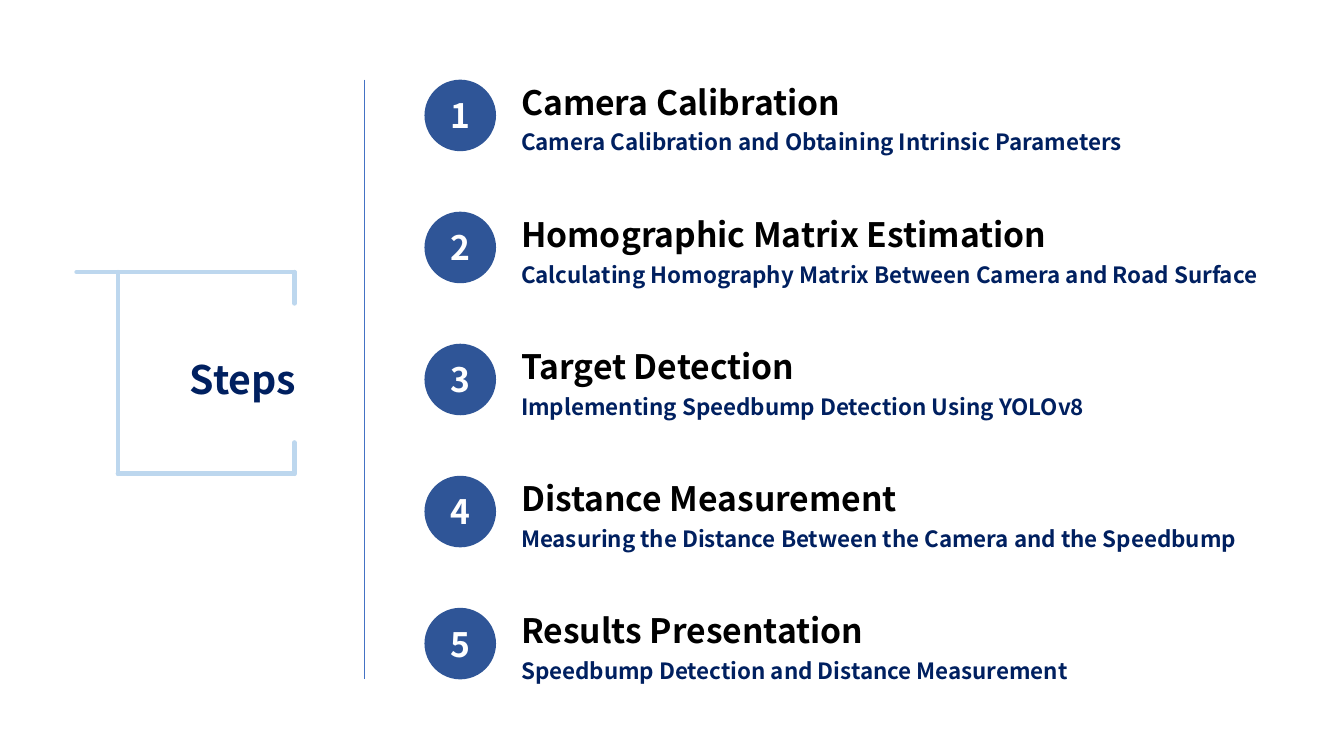
from dataclasses import dataclass

from lxml import etree
from pptx import Presentation
from pptx.dml.color import RGBColor
from pptx.enum.shapes import MSO_CONNECTOR, MSO_SHAPE
from pptx.enum.text import MSO_ANCHOR, MSO_AUTO_SIZE, PP_ALIGN
from pptx.oxml.ns import qn
from pptx.util import Inches, Pt

STRAIGHT = MSO_CONNECTOR.STRAIGHT
OVAL = MSO_SHAPE.OVAL
TOP, MIDDLE = MSO_ANCHOR.TOP, MSO_ANCHOR.MIDDLE
LEFT, CENTER = PP_ALIGN.LEFT, PP_ALIGN.CENTER
NO_FIT = MSO_AUTO_SIZE.NONE
TITLE_ONLY = 5


@dataclass(frozen=True)
class Theme:
    font: str = "Noto Sans CJK SC"
    navy: RGBColor = RGBColor(0x00, 0x20, 0x60)
    badge: RGBColor = RGBColor(0x2F, 0x55, 0x97)
    divider: RGBColor = RGBColor(0x44, 0x72, 0xC4)
    frame: RGBColor = RGBColor(0xBD, 0xD7, 0xEE)
    black: RGBColor = RGBColor(0x00, 0x00, 0x00)
    white: RGBColor = RGBColor(0xFF, 0xFF, 0xFF)
    title_size: int = 28
    heading_size: int = 24
    detail_size: int = 16
    divider_width: float = 0.5
    frame_width: float = 3.25
    line_spacing: float = 1.25


THEME = Theme()

STEPS = [
    ("Camera Calibration", "Camera Calibration and Obtaining Intrinsic Parameters", 6.6),
    ("Homographic Matrix Estimation",
     "Calculating Homography Matrix Between Camera and Road Surface", 8.17),
    ("Target Detection", "Implementing Speedbump Detection Using YOLOv8", 6.43),
    ("Distance Measurement",
     "Measuring the Distance Between the Camera and the Speedbump", 8.03),
    ("Results Presentation", "Speedbump Detection and Distance Measurement", 7.08),
]
STEP_TOP, STEP_PITCH = 0.79, 1.31
BADGE_LEFT, BADGE_SIZE = 4.21, 0.71
TEXT_LEFT, TEXT_RISE, TEXT_HEIGHT = 5.07, 0.13, 0.91

DIVIDER_X, DIVIDER_BOTTOM = 3.61, 6.74
FRAME_START, FRAME_LEFT, FRAME_RIGHT = 0.76, 1.17, 2.92
FRAME_TOP, FRAME_BOTTOM, FRAME_TICK = 2.7, 4.7, 0.31
FRAME_LINES = [
    (FRAME_START, FRAME_TOP, FRAME_RIGHT, FRAME_TOP),
    (FRAME_LEFT, FRAME_BOTTOM, FRAME_RIGHT, FRAME_BOTTOM),
    (FRAME_LEFT, FRAME_TOP, FRAME_LEFT, FRAME_BOTTOM),
    (FRAME_RIGHT, FRAME_TOP, FRAME_RIGHT, FRAME_TOP + FRAME_TICK),
    (FRAME_RIGHT, FRAME_BOTTOM - FRAME_TICK, FRAME_RIGHT, FRAME_BOTTOM),
]


def apply_format(target, values):
    for name, value in values.items():
        setattr(target, name, value)


def write_paragraph(paragraph, text, size, color, alignment, spacing):
    paragraph.text = text
    apply_format(paragraph, {"alignment": alignment, "line_spacing": spacing})
    apply_format(paragraph.font, {"name": THEME.font, "size": Pt(size), "bold": True})
    paragraph.font.color.rgb = color


def place_title(slide, text):
    title = slide.shapes.title
    apply_format(title, {
        "left": Inches(1.33), "top": Inches(3.36),
        "width": Inches(2.16), "height": Inches(0.66),
    })
    frame = title.text_frame
    apply_format(frame, {"word_wrap": True, "auto_size": NO_FIT, "vertical_anchor": TOP})
    write_paragraph(frame.paragraphs[0], text, THEME.title_size, THEME.navy,
                    CENTER, THEME.line_spacing)


def add_line(shapes, ends, color, width, cap):
    connector = shapes.add_connector(STRAIGHT, *(Inches(value) for value in ends))
    connector.line.color.rgb = color
    connector.line.width = Pt(width)
    properties = connector._element.spPr
    properties.find(qn("a:ln")).set("cap", cap)
    etree.SubElement(properties, qn("a:effectLst"))


def add_frame(slide):
    group = slide.shapes.add_group_shape()
    for ends in FRAME_LINES:
        add_line(group.shapes, ends, THEME.frame, THEME.frame_width, "rnd")


def add_badge(shapes, number, top):
    badge = shapes.add_shape(OVAL, Inches(BADGE_LEFT), Inches(top),
                             Inches(BADGE_SIZE), Inches(BADGE_SIZE))
    badge.shadow.inherit = False
    badge.fill.solid()
    badge.fill.fore_color.rgb = THEME.badge
    badge.line.fill.background()
    frame = badge.text_frame
    frame.vertical_anchor = MIDDLE
    write_paragraph(frame.paragraphs[0], str(number), THEME.heading_size,
                    THEME.white, CENTER, 1.0)


def add_step(slide, number, heading, detail, width):
    top = STEP_TOP + (number - 1) * STEP_PITCH
    group = slide.shapes.add_group_shape()
    add_badge(group.shapes, number, top)
    box = group.shapes.add_textbox(Inches(TEXT_LEFT), Inches(top - TEXT_RISE),
                                   Inches(width), Inches(TEXT_HEIGHT))
    frame = box.text_frame
    frame.word_wrap = True
    write_paragraph(frame.paragraphs[0], heading, THEME.heading_size,
                    THEME.black, LEFT, THEME.line_spacing)
    write_paragraph(frame.add_paragraph(), detail, THEME.detail_size,
                    THEME.navy, LEFT, THEME.line_spacing)


def main():
    presentation = Presentation()
    presentation.slide_width = Inches(13.33)
    presentation.slide_height = Inches(7.5)
    slide = presentation.slides.add_slide(presentation.slide_layouts[TITLE_ONLY])
    place_title(slide, "Steps")
    add_line(slide.shapes, (DIVIDER_X, STEP_TOP, DIVIDER_X, DIVIDER_BOTTOM),
             THEME.divider, THEME.divider_width, "flat")
    add_frame(slide)
    for number, step in enumerate(STEPS, start=1):
        add_step(slide, number, *step)
    presentation.save("out.pptx")


if __name__ == "__main__":
    main()
